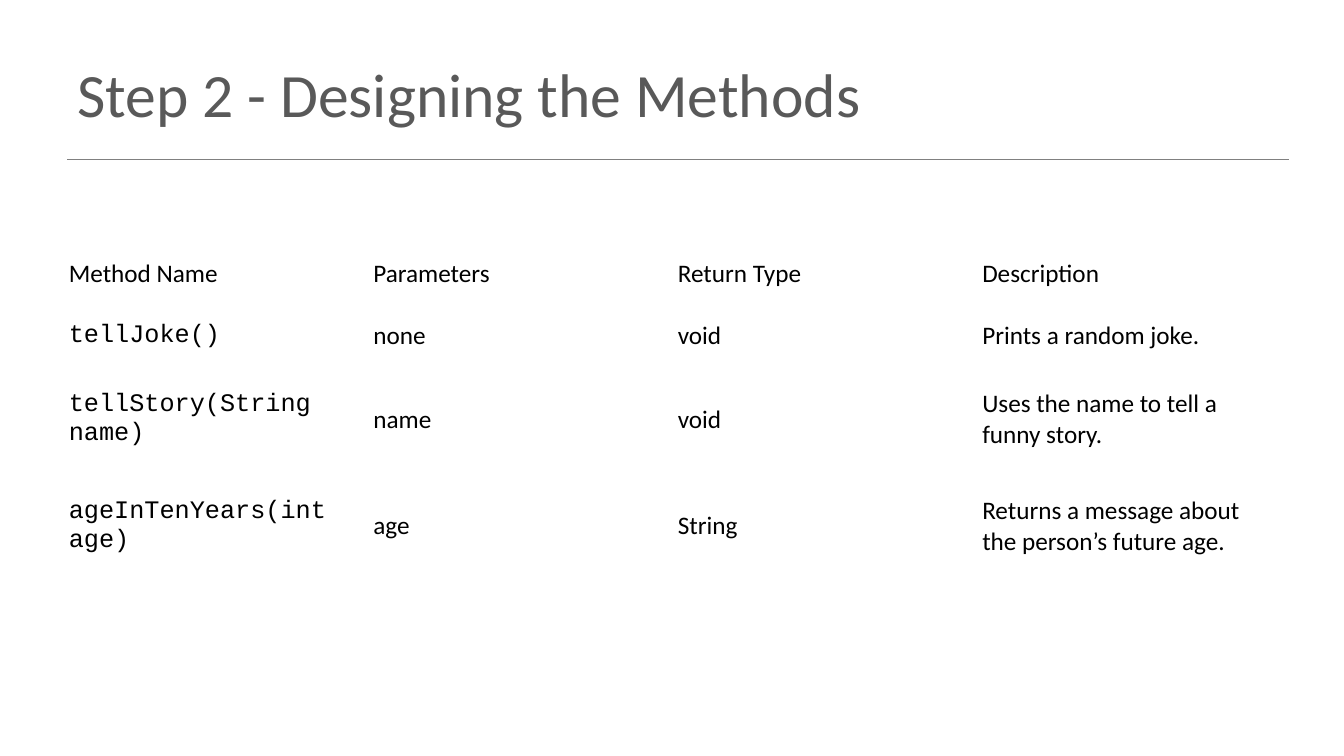
from pptx import Presentation, util as u
from pptx.dml.color import RGBColor
from pptx.enum import shapes, text
from pptx.oxml.ns import qn
from lxml import etree

HUES = {"title": "595959", "rule": "808080", "text": "000000"}
FONTS = {"body": "Calibri", "code": "Courier New"}
HEAD = ["Method Name", "Parameters", "Return Type", "Description"]
METHODS = [
    ["tellJoke()", "none", "void", "Prints a random joke."],
    ["tellStory(String name)", "name", "void", "Uses the name to tell a funny story."],
    ["ageInTenYears(int age)", "age", "String", "Returns a message about the person’s future age."],
]


class Deck:
    COLS, ROWS = 80, 45

    def __init__(self):
        self.prs = Presentation()
        self.prs.slide_width = u.Inches(13.33)
        self.prs.slide_height = u.Inches(7.5)
        self.slide = self.prs.slides.add_slide(self.prs.slide_layouts[5])

    def x(self, cols):
        return u.Emu(round(self.prs.slide_width * cols / self.COLS))

    def y(self, rows):
        return u.Emu(round(self.prs.slide_height * rows / self.ROWS))

    def hue(self, name):
        return RGBColor.from_string(HUES[name])

    def style(self, para, size, hue, font="body"):
        para.alignment = text.PP_ALIGN.LEFT
        para.font.size = u.Pt(size)
        para.font.name = FONTS[font]
        para.font.bold = False
        para.font.color.rgb = self.hue(hue)

    def title(self, words, left, top, width, height):
        box = self.slide.shapes.title
        box.left, box.top = self.x(left), self.y(top)
        box.width, box.height = self.x(width), self.y(height)
        frame = box.text_frame
        frame.text = words
        frame.word_wrap = True
        frame.auto_size = text.MSO_AUTO_SIZE.NONE
        frame.vertical_anchor = text.MSO_ANCHOR.MIDDLE
        self.style(frame.paragraphs[0], 44, "title")

    def rule(self, left, right, top):
        line = self.slide.shapes.add_connector(
            shapes.MSO_CONNECTOR.STRAIGHT,
            self.x(left), self.y(top), self.x(right), self.y(top))
        line.line.color.rgb = self.hue("rule")
        line.line.width = u.Pt(1)
        etree.SubElement(line._element.spPr, qn("a:effectLst"))

    def table(self, rows, left, top, width, heights):
        grid = self.slide.shapes.add_table(
            len(rows), len(rows[0]), self.x(left), self.y(top),
            self.x(width), self.y(sum(heights))).table
        grid.first_row = grid.horz_banding = False
        for r, (row, height) in enumerate(zip(rows, heights)):
            grid.rows[r].height = self.y(height)
            for c, words in enumerate(row):
                cell = grid.cell(r, c)
                cell.text = words
                cell.fill.background()
                cell.vertical_anchor = text.MSO_ANCHOR.MIDDLE
                font = "code" if r and c == 0 else "body"
                self.style(cell.text_frame.paragraphs[0], 18, "text", font)


def main():
    deck = Deck()
    deck.rule(4, 76.7, 9.5)
    deck.title("Step 2 - Designing the Methods", 4, 1.8, 72, 7.5)
    deck.table([HEAD] + METHODS, 3.5, 14.5, 72.5, [3.65, 3.65, 6.35, 6.35])
    deck.prs.save("out.pptx")


if __name__ == "__main__":
    main()
